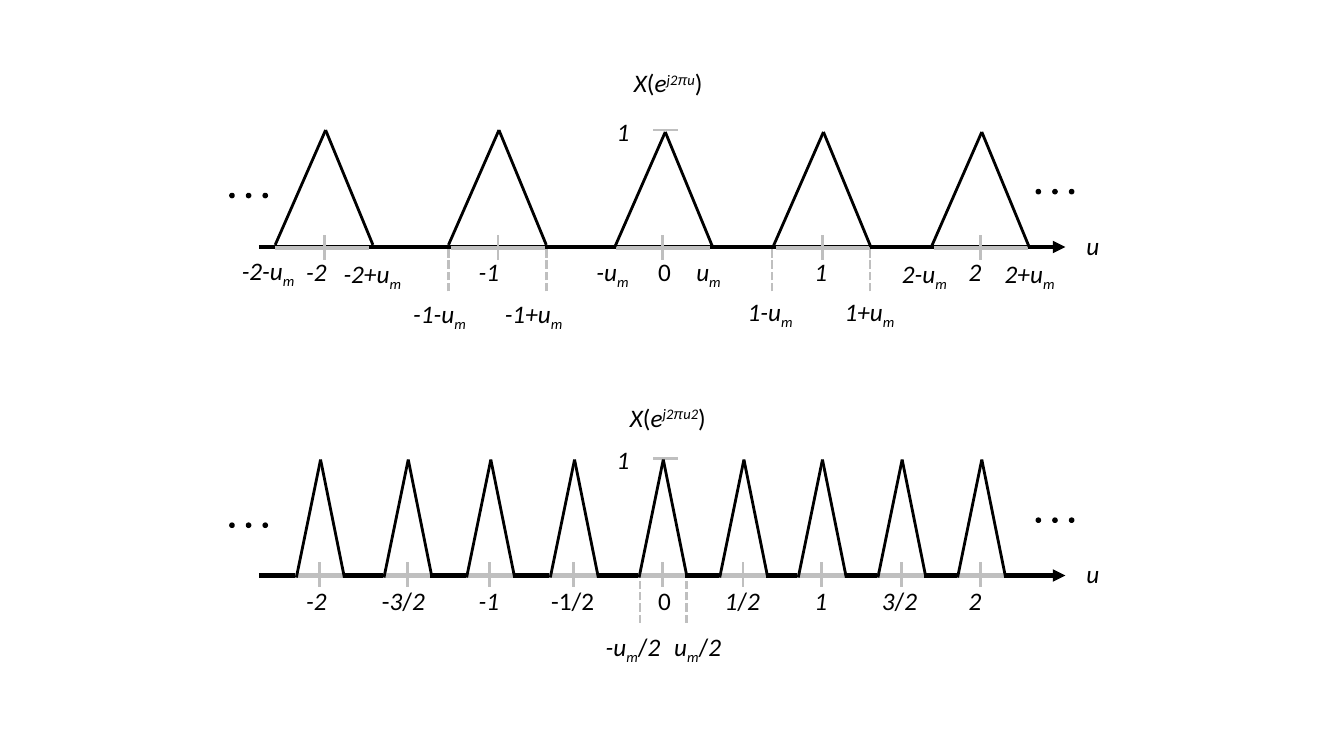
from dataclasses import dataclass

import pptx
import pptx.dml.color
import pptx.enum.dml
import pptx.enum.shapes
import pptx.enum.text
import pptx.oxml.ns
import pptx.util
from lxml import etree

Pt = pptx.util.Pt
BLACK, GREY = "000000", "BFBFBF"


@dataclass
class Run:
    text: str
    italic: bool = True
    baseline: int = 0
    font: str = "Calibri"


@dataclass
class Label:
    x: float
    y: float
    width: float
    runs: list[Run]
    wrap: bool = False


@dataclass
class Peak:
    x: float
    top: float
    tick_x: float
    base_x: float


@dataclass
class Spectrum:
    """Axis and peaks; left and right are the reach of a peak's feet."""
    axis_y: float
    level_y: float
    peak_height: float
    left: float
    right: float
    base_y: float
    base_width: float
    tick_drop: float
    dots: list[tuple[float, float]]
    dashes: list[float]
    dash_top: float
    peaks: list[Peak]
    labels: list[Label]


def rgb(value: str) -> pptx.dml.color.RGBColor:
    return pptx.dml.color.RGBColor.from_string(value)


def add_line(shapes, x1: float, y1: float, x2: float, y2: float, color: str,
             width: float = 2, dashed: bool = False, arrow: bool = False) -> None:
    c = shapes.add_connector(pptx.enum.shapes.MSO_CONNECTOR.STRAIGHT,
                             Pt(x1), Pt(y1), Pt(x2), Pt(y2))
    c.line.color.rgb = rgb(color)
    c.line.width = Pt(width)
    if dashed:
        c.line.dash_style = pptx.enum.dml.MSO_LINE.SQUARE_DOT
    if arrow:
        etree.SubElement(c.line._get_or_add_ln(), pptx.oxml.ns.qn("a:tailEnd"), type="triangle")
    etree.SubElement(c._element.spPr, pptx.oxml.ns.qn("a:effectLst"))


def add_dot(shapes, x: float, y: float) -> None:
    sp = shapes.add_shape(pptx.enum.shapes.MSO_SHAPE.OVAL, Pt(x), Pt(y), Pt(3), Pt(3))
    sp.shadow.inherit = False
    sp.fill.solid()
    sp.fill.fore_color.rgb = rgb(BLACK)
    sp.line.color.rgb = rgb(BLACK)
    sp.line.width = Pt(1)


def add_label(shapes, label: Label) -> None:
    sp = shapes.add_textbox(Pt(label.x), Pt(label.y), Pt(label.width), Pt(29))
    tf = sp.text_frame
    tf.word_wrap = label.wrap
    tf.auto_size = pptx.enum.text.MSO_AUTO_SIZE.SHAPE_TO_FIT_TEXT
    p = tf.paragraphs[0]
    for run in label.runs:
        r = p.add_run()
        r.text = run.text
        for name, value in {"size": Pt(18), "italic": run.italic, "name": run.font}.items():
            setattr(r.font, name, value)
        r.font.color.rgb = rgb(BLACK)
        if run.baseline:
            r._r.get_or_add_rPr().set("baseline", str(run.baseline * 1000))


def add_peak(shapes, peak: Peak, spectrum: Spectrum) -> None:
    group = shapes.add_group_shape().shapes
    foot = peak.top + spectrum.peak_height
    add_line(group, peak.base_x, spectrum.base_y, peak.base_x + spectrum.base_width,
             spectrum.base_y, GREY, 3)
    for foot_x in (peak.x - spectrum.left, peak.x + spectrum.right):
        add_line(group, foot_x, foot, peak.x, peak.top, BLACK)
    tick_y = spectrum.axis_y + spectrum.tick_drop
    add_line(group, peak.tick_x, tick_y, peak.tick_x, tick_y - 18, GREY)


def add_spectrum(shapes, spectrum: Spectrum) -> None:
    y = spectrum.axis_y
    add_line(shapes, 185, y, 761, y, BLACK, 3, arrow=True)
    add_line(shapes, 466.5, spectrum.level_y, 484.5, spectrum.level_y, GREY)
    for peak in spectrum.peaks:
        add_peak(shapes, peak, spectrum)
    for x, dot_y in spectrum.dots:
        for i in range(3):
            add_dot(shapes, x + 11.9 * i, dot_y)
    for x in spectrum.dashes:
        add_line(shapes, x, spectrum.dash_top + 31.7, x, spectrum.dash_top, GREY, dashed=True)
    for label in spectrum.labels:
        add_label(shapes, label)


def um(before: str = "", after: tuple[Run, ...] = ()) -> list[Run]:
    """Runs for u with subscript m."""
    return [Run(before + "u"), Run("m", baseline=-25), *after]


def transform(exponent: str) -> list[Run]:
    return [Run("X"), Run("(", False), Run("e"), Run("j2", baseline=30),
            Run("π", baseline=30, font="Arial"), Run(exponent, baseline=30), Run(")", False)]


def shared_labels(axis_y: float, number_y: float) -> list[Label]:
    numbers = [(211.7, 43.2, "-2"), (334.8, 33.8, "-1"), (463, 24.5, "0"),
               (574.6, 24.5, "1"), (684.7, 35.3, "2")]
    return [Label(x, number_y, w, [Run(text, text != "0")], True) for x, w, text in numbers] + [
        Label(433.4, axis_y - 97.2, 23.8, [Run("1")]),
        Label(769, axis_y - 15.8, 23.8, [Run("u")])]


SLASH_TWO = (Run("/", False), Run("2"))

original_spectrum = Spectrum(
    axis_y=176.4, level_y=92.9, peak_height=82, left=36, right=33.8,
    base_y=177.1, base_width=67.2, tick_drop=9.2,
    dots=[(740.2, 135.4), (164.2, 138.2)],
    dashes=[320.4, 390.2, 551.5, 621.4], dash_top=176.4,
    peaks=[Peak(232.6, 92.9, 231.8, 196.6), Peak(356.4, 92.9, 355.7, 321.8),
           Peak(475.2, 94.3, 473, 439.9), Peak(588.2, 94.3, 587.5, 554.4),
           Peak(701.3, 94.3, 700.6, 667.4)],
    labels=shared_labels(176.4, 179.3) + [
        Label(445.7, 44.6, 65.5, transform("u")),
        Label(165.6, 178.6, 54, um("-2-")), Label(238.3, 180.7, 57.6, um("-2+")),
        Label(288, 209.5, 54, um("-1-")), Label(353.5, 209.5, 57.6, um("-1+")),
        Label(419, 179.3, 38.9, um("-")), Label(490.3, 179.3, 33.1, um()),
        Label(527, 208.1, 48.2, um("1-")), Label(596.2, 208.1, 51.8, um("1+")),
        Label(637.2, 180.7, 48.2, um("2-")), Label(710.6, 180.7, 51.8, um("2+"))])

compressed_spectrum = Spectrum(
    axis_y=411.1, level_y=327.6, peak_height=84.2, left=17.3, right=17,
    base_y=411.1, base_width=33.8, tick_drop=8,
    dots=[(740.2, 370.1), (164.2, 373.7)],
    dashes=[457.2, 490.3], dash_top=413.3,
    peaks=[Peak(x, 328.3, x - 0.7, x - 18) for x in
           (229, 291.6, 350.6, 410.4, 473.8, 531.4, 587.5, 644.4, 701.3)],
    labels=shared_labels(411.1, 414.7) + [
        Label(442.8, 283.7, 72, transform("u2")),
        Label(265.7, 414.7, 45.4, [Run("-", False), Run("3"), *SLASH_TWO]),
        Label(386.6, 414.7, 45.4, [Run("-1/2", False)]),
        Label(510.5, 414.7, 40.3, [Run("1"), *SLASH_TWO]),
        Label(622.8, 414.7, 40.3, [Run("3"), *SLASH_TWO]),
        Label(425.5, 447.1, 55.4, um("-", SLASH_TWO)),
        Label(474.5, 447.1, 49.7, um("", SLASH_TWO))])


def main() -> None:
    prs = pptx.Presentation()
    prs.slide_width, prs.slide_height = Pt(960), Pt(540)
    s = prs.slides.add_slide(prs.slide_layouts[6])
    for spectrum in (original_spectrum, compressed_spectrum):
        add_spectrum(s.shapes, spectrum)
    prs.save("out.pptx")


if __name__ == "__main__":
    main()
